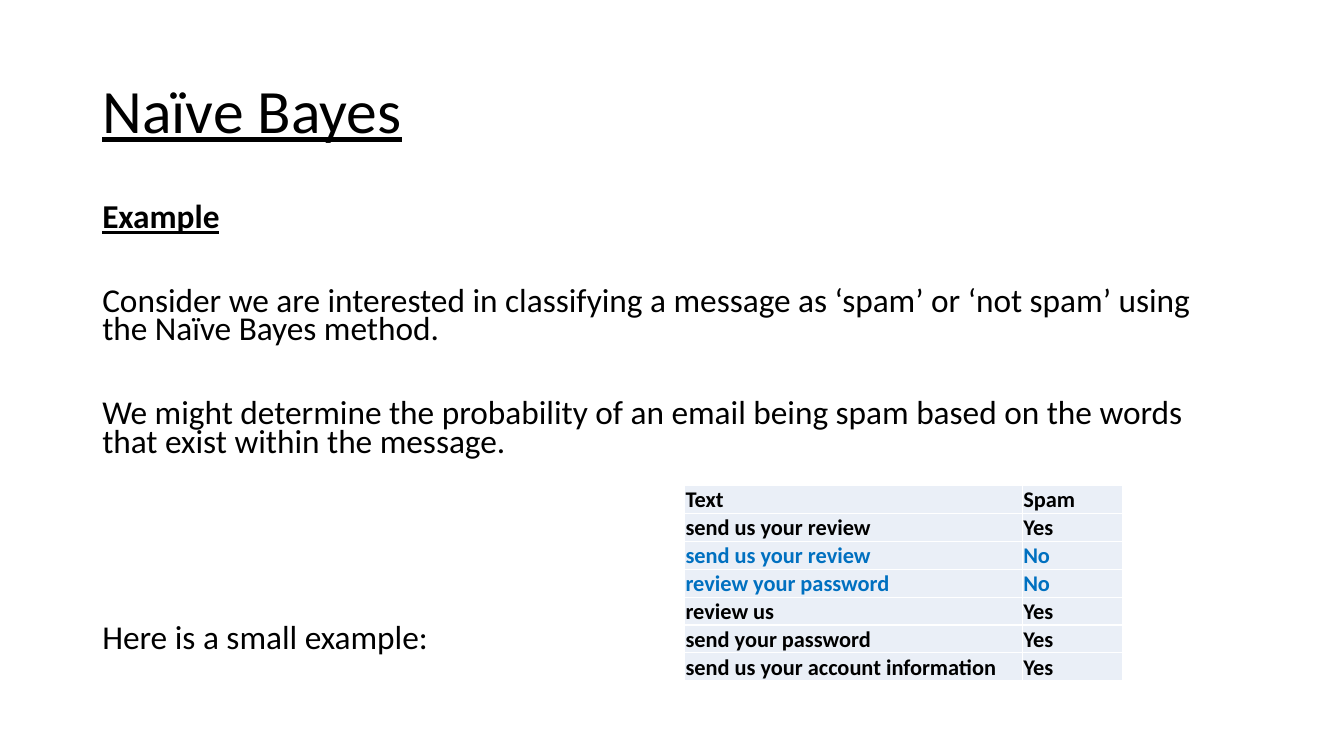
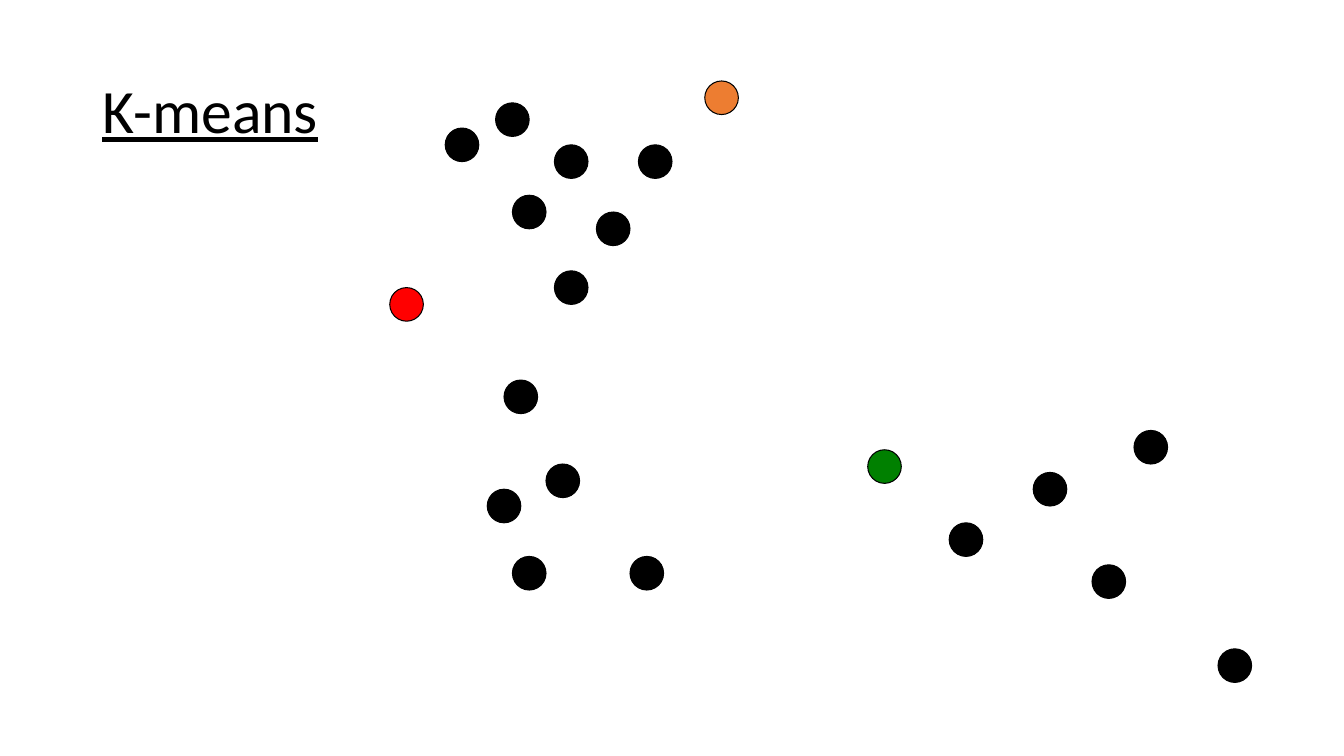
from typing import NamedTuple

from lxml.etree import SubElement
from pptx import Presentation
from pptx.dml.color import RGBColor
from pptx.enum.shapes import MSO_SHAPE
from pptx.enum.text import MSO_ANCHOR, MSO_AUTO_SIZE, PP_ALIGN
from pptx.oxml.ns import qn
from pptx.util import Inches, Pt

# The slide is a grid of 160 columns by 90 rows, twelve cells to the inch.
COLUMNS, ROWS = 160, 90
FONT = "Calibri"
COLORS = {
    "text": "000000",
    "not_spam": "0070C0",
    "cell": "EAEFF7",
    "border": "FFFFFF",
    "point": "000000",
    "red": "FF0000",
    "orange": "ED7D31",
    "green": "008000",
}
TITLE_ONLY = 5


class Box(NamedTuple):
    column: float
    row: float
    columns: float
    rows: float


class Statement(NamedTuple):
    text: str
    space_before: float
    heading: bool = False


class Message(NamedTuple):
    text: str
    spam: str


class Dot(NamedTuple):
    column: float
    row: float
    color: str = "point"


TITLE_BOX = Box(11, 4.8, 138, 17.4)
BODY_BOX = Box(11, 24, 138, 57)
TABLE_BOX = Box(81.5, 57.8, 52.1, 21.84)
TEXT_COLUMN = 40.2
DOT_SIZE = 4
FIRST_DOT_ROW = 12.24

STATEMENTS = [
    Statement("Example", 10, heading=True),
    Statement("Consider we are interested in classifying a message as ‘spam’ or "
              "‘not spam’ using the Naïve Bayes method.", 40),
    Statement("We might determine the probability of an email being spam based on "
              "the words that exist within the message.", 40),
    Statement("Here is a small example:", 120),
]

MESSAGES = [
    Message("Text", "Spam"),
    Message("send us your review", "Yes"),
    Message("send us your review", "No"),
    Message("review your password", "No"),
    Message("review us", "Yes"),
    Message("send your password", "Yes"),
    Message("send us your account information", "Yes"),
]

# Dot rows are counted from FIRST_DOT_ROW.
UPPER_CLUSTER = [Dot(59, 0), Dot(53, 3), Dot(66, 5), Dot(76, 5),
                 Dot(61, 11), Dot(71, 13), Dot(66, 20)]
LOWER_CLUSTER = [Dot(60, 33), Dot(65, 43), Dot(58, 46), Dot(61, 54), Dot(75, 54)]
RIGHT_CLUSTER = [Dot(135, 39), Dot(123, 44), Dot(113, 50), Dot(130, 55), Dot(145, 65)]
CENTROIDS = [Dot(46.4, 22, "red"), Dot(83.9, -2.6, "orange"), Dot(103.3, 41.3, "green")]


def cells(count: float) -> int:
    """Length of a number of grid cells."""
    return Inches(count / 12)


def place(box: Box) -> tuple[int, int, int, int]:
    return cells(box.column), cells(box.row), cells(box.columns), cells(box.rows)


def rgb(name: str) -> RGBColor:
    return RGBColor.from_string(COLORS[name])


def write(paragraph, text: str, *, size: float, color: str = "text",
          bold: bool = False, underline: bool = False,
          line_spacing: float = 1, space_before: float = 0) -> None:
    paragraph.alignment = PP_ALIGN.LEFT
    paragraph.line_spacing = line_spacing
    paragraph.space_before = Pt(space_before)
    run = paragraph.add_run()
    run.text = text
    font = run.font
    font.name, font.size, font.bold, font.underline = FONT, Pt(size), bold, underline
    font.color.rgb = rgb(color)


def add_titled_slide(deck, title: str):
    slide = deck.slides.add_slide(deck.slide_layouts[TITLE_ONLY])
    holder = slide.shapes.title
    holder.left, holder.top, holder.width, holder.height = place(TITLE_BOX)
    frame = holder.text_frame
    frame.auto_size = MSO_AUTO_SIZE.NONE
    frame.vertical_anchor = MSO_ANCHOR.MIDDLE
    write(frame.paragraphs[0], title, size=44, underline=True, line_spacing=0.9)
    return slide


def add_statements(slide, statements: list[Statement]) -> None:
    frame = slide.shapes.add_textbox(*place(BODY_BOX)).text_frame
    frame.word_wrap = True
    for index, statement in enumerate(statements):
        paragraph = frame.add_paragraph() if index else frame.paragraphs[0]
        write(paragraph, statement.text, size=23.8, bold=statement.heading,
              underline=statement.heading, line_spacing=0.7,
              space_before=statement.space_before)


def add_borders(cell) -> None:
    properties = cell._tc.get_or_add_tcPr()
    for side in ("a:lnL", "a:lnR", "a:lnT", "a:lnB"):
        line = SubElement(properties, qn(side), w=str(Pt(1)))
        fill = SubElement(line, qn("a:solidFill"))
        SubElement(fill, qn("a:srgbClr"), val=COLORS["border"])


def add_message_table(slide, messages: list[Message]) -> None:
    table = slide.shapes.add_table(len(messages), 2, *place(TABLE_BOX)).table
    table.first_row = table.horz_banding = False
    table.columns[0].width = cells(TEXT_COLUMN)
    table.columns[1].width = cells(TABLE_BOX.columns - TEXT_COLUMN)
    for row, message in zip(table.rows, messages):
        color = "not_spam" if message.spam == "No" else "text"
        for cell, text in zip(row.cells, message):
            cell.margin_left = cell.margin_right = cell.margin_top = Inches(0.01)
            cell.margin_bottom = 0
            cell.vertical_anchor = MSO_ANCHOR.BOTTOM
            add_borders(cell)
            cell.fill.solid()
            cell.fill.fore_color.rgb = rgb("cell")
            write(cell.text_frame.paragraphs[0], text, size=16, color=color, bold=True)


def add_dot(slide, dot: Dot) -> None:
    box = Box(dot.column, FIRST_DOT_ROW + dot.row, DOT_SIZE, DOT_SIZE)
    circle = slide.shapes.add_shape(MSO_SHAPE.OVAL, *place(box))
    circle.shadow.inherit = False
    circle.fill.solid()
    circle.fill.fore_color.rgb = rgb(dot.color)
    circle.line.color.rgb = rgb("point")
    circle.line.width = Pt(0.75)


def main() -> None:
    deck = Presentation()
    deck.slide_width, deck.slide_height = cells(COLUMNS), cells(ROWS)

    bayes = add_titled_slide(deck, "Naïve Bayes")
    add_statements(bayes, STATEMENTS)
    add_message_table(bayes, MESSAGES)

    k_means = add_titled_slide(deck, "K-means")
    for dot in UPPER_CLUSTER + LOWER_CLUSTER + RIGHT_CLUSTER + CENTROIDS:
        add_dot(k_means, dot)

    deck.save("out.pptx")


if __name__ == "__main__":
    main()
